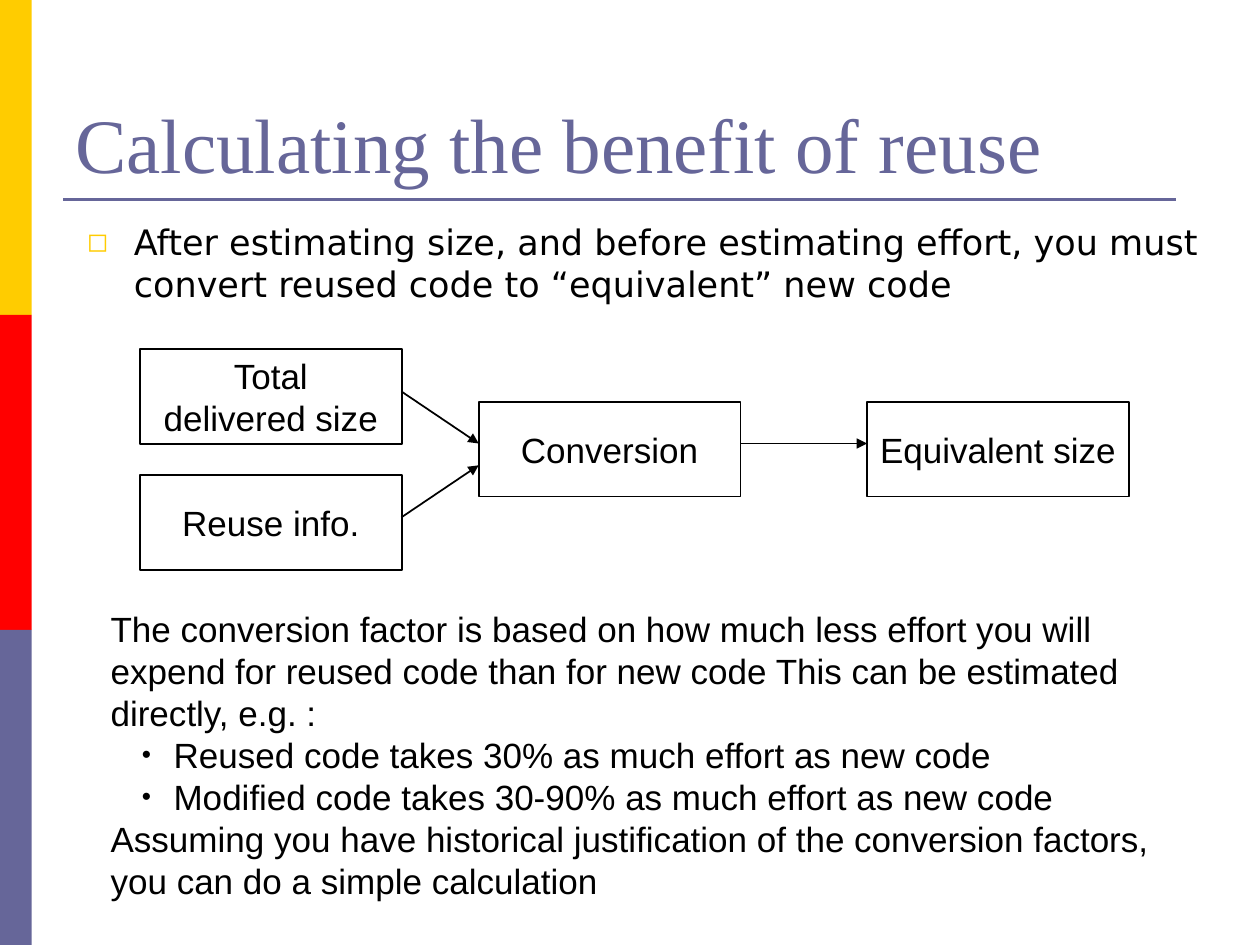
from pptx import Presentation
from pptx.util import Cm, Pt
from pptx.dml.color import RGBColor
from pptx.enum.shapes import MSO_SHAPE as Shape, MSO_CONNECTOR as Link
from pptx.enum.text import PP_ALIGN as Align, MSO_ANCHOR as Anchor, MSO_AUTO_SIZE as Auto
from pptx.oxml.ns import qn
from lxml.etree import SubElement as Sub

GOLD = RGBColor(0xFF, 0xCC, 0x00)
RED = RGBColor(0xFF, 0x00, 0x00)
SLATE = RGBColor(0x66, 0x66, 0x99)
BLACK = RGBColor(0x00, 0x00, 0x00)


def write(par, text, face="Arial", size=20, color=BLACK, mark=None):
    if mark:
        sign, tint, left, hang = mark
        ppr = par._p.get_or_add_pPr()
        ppr.set("marL", str(Cm(left)))
        ppr.set("indent", str(-Cm(hang)))
        Sub(Sub(ppr, qn("a:buClr")), qn("a:srgbClr"), val=str(tint))
        Sub(ppr, qn("a:buSzPct"), val="75000")
        Sub(ppr, qn("a:buFont"), typeface=face)
        Sub(ppr, qn("a:buChar"), char=sign)
    run = par.add_run()
    run.text = text
    run.font.name = face
    run.font.size = Pt(size)
    run.font.color.rgb = color


def link(x1, y1, x2, y2, color=BLACK, width=1, tip=True):
    line = slide.shapes.add_connector(Link.STRAIGHT, Cm(x1), Cm(y1), Cm(x2), Cm(y2))
    line.line.color.rgb = color
    line.line.width = Pt(width)
    if tip:
        Sub(line.line._get_or_add_ln(), qn("a:tailEnd"), type="triangle")
    Sub(line._element.spPr, qn("a:effectLst"))


deck = Presentation()
deck.slide_width, deck.slide_height = Cm(25.4), Cm(19.05)
slide = deck.slides.add_slide(deck.slide_layouts[5])

for i, color in enumerate((GOLD, RED, SLATE)):
    bar = slide.shapes.add_shape(Shape.RECTANGLE, 0, Cm(6.35 * i), Cm(0.64), Cm(6.35))
    bar.shadow.inherit = False
    bar.fill.solid()
    bar.fill.fore_color.rgb = color
    bar.line.fill.background()
link(1.27, 4.02, 23.7, 4.02, SLATE, 1.5, False)

title = slide.shapes.title
title.left, title.top, title.width, title.height = Cm(1.27), Cm(0.76), Cm(22.86), Cm(3.18)
frame = title.text_frame
frame.auto_size = Auto.NONE
frame.vertical_anchor = Anchor.BOTTOM
frame.paragraphs[0].alignment = Align.LEFT
write(frame.paragraphs[0], "Calculating the benefit of reuse", "Times New Roman", 44, SLATE)

body = slide.shapes.add_textbox(Cm(1.5), Cm(4.32), Cm(23.8), Cm(2))
body.text_frame.word_wrap = True
write(body.text_frame.paragraphs[0],
      "After estimating size, and before estimating effort, you must "
      "convert reused code to “equivalent” new code",
      "DejaVu Sans", mark=("◻", GOLD, 0.95, 0.95))

BOXES = [
    (2.82, 7.04, ["Total", "delivered size"]),
    (9.65, 8.1, ["Conversion"]),
    (2.82, 9.58, ["Reuse info."]),
    (17.48, 8.1, ["Equivalent size"]),
]
for x, y, rows in BOXES:
    box = slide.shapes.add_shape(Shape.RECTANGLE, Cm(x), Cm(y), Cm(5.28), Cm(1.91))
    box.shadow.inherit = False
    box.fill.background()
    box.line.color.rgb = BLACK
    box.line.width = Pt(1)
    frame = box.text_frame
    frame.word_wrap = False
    frame.vertical_anchor = Anchor.MIDDLE
    for i, row in enumerate(rows):
        par = frame.add_paragraph() if i else frame.paragraphs[0]
        par.alignment = Align.CENTER
        write(par, row)

link(8.09, 7.89, 9.65, 8.94)
link(8.09, 10.43, 9.65, 9.38)
link(14.93, 8.94, 17.48, 8.94)

DOT = ("•", BLACK, 1.27, 0.64)
NOTES = [
    ("The conversion factor is based on how much less effort you will expend "
     "for reused code than for new code This can be estimated directly, e.g. :", None),
    ("Reused code takes 30% as much effort as new code", DOT),
    ("Modified code takes 30-90% as much effort as new code", DOT),
    ("Assuming you have historical justification of the conversion factors, "
     "you can do a simple calculation", None),
]
note = slide.shapes.add_textbox(Cm(1.98), Cm(12.12), Cm(22.07), Cm(6.2))
frame = note.text_frame
frame.word_wrap = True
frame.auto_size = Auto.SHAPE_TO_FIT_TEXT
for i, (text, mark) in enumerate(NOTES):
    par = frame.add_paragraph() if i else frame.paragraphs[0]
    if mark:
        par.level = 1
    write(par, text, mark=mark)

deck.save("out.pptx")
